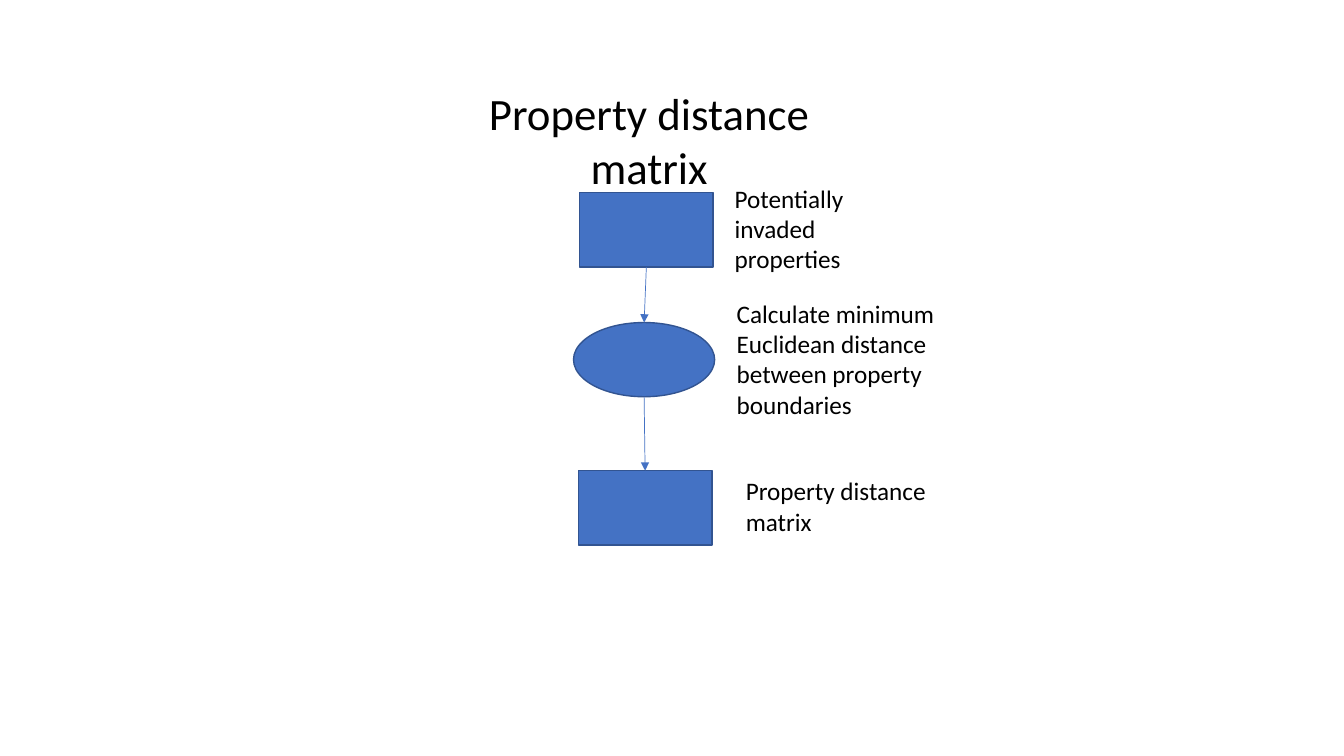
from dataclasses import dataclass

import pptx
import pptx.dml.color
import pptx.enum.shapes
import pptx.enum.text
import pptx.oxml
import pptx.oxml.ns
import pptx.shapes.autoshape
import pptx.shapes.connector
import pptx.slide
import pptx.text.text
import pptx.util

Pt = pptx.util.Pt
RGB = pptx.dml.color.RGBColor
SHAPE = pptx.enum.shapes.MSO_SHAPE
ALIGN = pptx.enum.text.PP_ALIGN
Box = tuple[float, float, float, float]


@dataclass(frozen=True)
class Theme:
    font: str = "Calibri"
    title_size: float = 32
    label_size: float = 18
    text: RGB = RGB(0x00, 0x00, 0x00)
    fill: RGB = RGB(0x44, 0x72, 0xC4)
    outline: RGB = RGB(0x32, 0x54, 0x91)
    outline_width: float = 1
    arrow_width: float = 0.5


@dataclass(frozen=True)
class Step:
    kind: SHAPE
    box: Box
    label: str
    label_box: Box


THEME = Theme()
TITLE = "Property distance matrix"
TITLE_BOX: Box = (311.8, 57.6, 303.8, 85)
STEPS = [
    Step(SHAPE.RECTANGLE, (414, 137.5, 95.4, 53.3),
         "Potentially invaded properties", (517.7, 127.4, 100.1, 72.7)),
    Step(SHAPE.OVAL, (409.7, 230.4, 100.8, 53),
         "Calculate minimum Euclidean distance between property boundaries",
         (519.1, 209.5, 185.8, 94.5)),
    Step(SHAPE.RECTANGLE, (413.1, 336.2, 95.4, 53.3),
         "Property distance matrix", (525.6, 336.2, 185.8, 51)),
]


def write(tf: pptx.text.text.TextFrame, text: str, size: float, align: ALIGN) -> None:
    tf.word_wrap = True
    tf.auto_size = pptx.enum.text.MSO_AUTO_SIZE.NONE
    tf.vertical_anchor = pptx.enum.text.MSO_ANCHOR.TOP
    p = tf.paragraphs[0]
    p.alignment = align
    r = p.add_run()
    r.text = text
    r.font.name = THEME.font
    r.font.size = Pt(size)
    r.font.color.rgb = THEME.text


def add_title(s: pptx.slide.Slide) -> None:
    sp = s.shapes.title
    sp.left, sp.top, sp.width, sp.height = map(Pt, TITLE_BOX)
    write(sp.text_frame, TITLE, THEME.title_size, ALIGN.CENTER)


def add_step(s: pptx.slide.Slide, step: Step) -> pptx.shapes.autoshape.Shape:
    sp = s.shapes.add_shape(step.kind, *map(Pt, step.box))
    sp.shadow.inherit = False
    sp.fill.solid()
    sp.fill.fore_color.rgb = THEME.fill
    sp.line.color.rgb = THEME.outline
    sp.line.width = Pt(THEME.outline_width)
    label = s.shapes.add_textbox(*map(Pt, step.label_box))
    write(label.text_frame, step.label, THEME.label_size, ALIGN.LEFT)
    return sp


def add_arrow(s: pptx.slide.Slide, upper: pptx.shapes.autoshape.Shape,
              lower: pptx.shapes.autoshape.Shape) -> None:
    x, y = upper.left + upper.width // 2, upper.top + upper.height
    line = s.shapes.add_connector(
        pptx.enum.shapes.MSO_CONNECTOR.STRAIGHT, x, y, x, lower.top)
    # Site 2 is the bottom of a rectangle, but the left of an ellipse
    if upper.auto_shape_type == SHAPE.RECTANGLE:
        line.begin_connect(upper, 2)
    line.end_connect(lower, 0)
    line.line.color.rgb = THEME.fill
    line.line.width = Pt(THEME.arrow_width)
    # Arrowhead, and no shadow
    ns = pptx.oxml.ns.nsdecls("a")
    line.line._get_or_add_ln().append(
        pptx.oxml.parse_xml(f'<a:tailEnd {ns} type="triangle"/>'))
    line._element.spPr.append(pptx.oxml.parse_xml(f"<a:effectLst {ns}/>"))


def main() -> None:
    prs = pptx.Presentation()
    prs.slide_width, prs.slide_height = Pt(960), Pt(540)
    s = prs.slides.add_slide(prs.slide_layouts.get_by_name("Title Only"))
    add_title(s)

    # Flow from top to bottom
    shapes = [add_step(s, step) for step in STEPS]
    for upper, lower in zip(shapes, shapes[1:]):
        add_arrow(s, upper, lower)
    prs.save("out.pptx")


if __name__ == "__main__":
    main()
